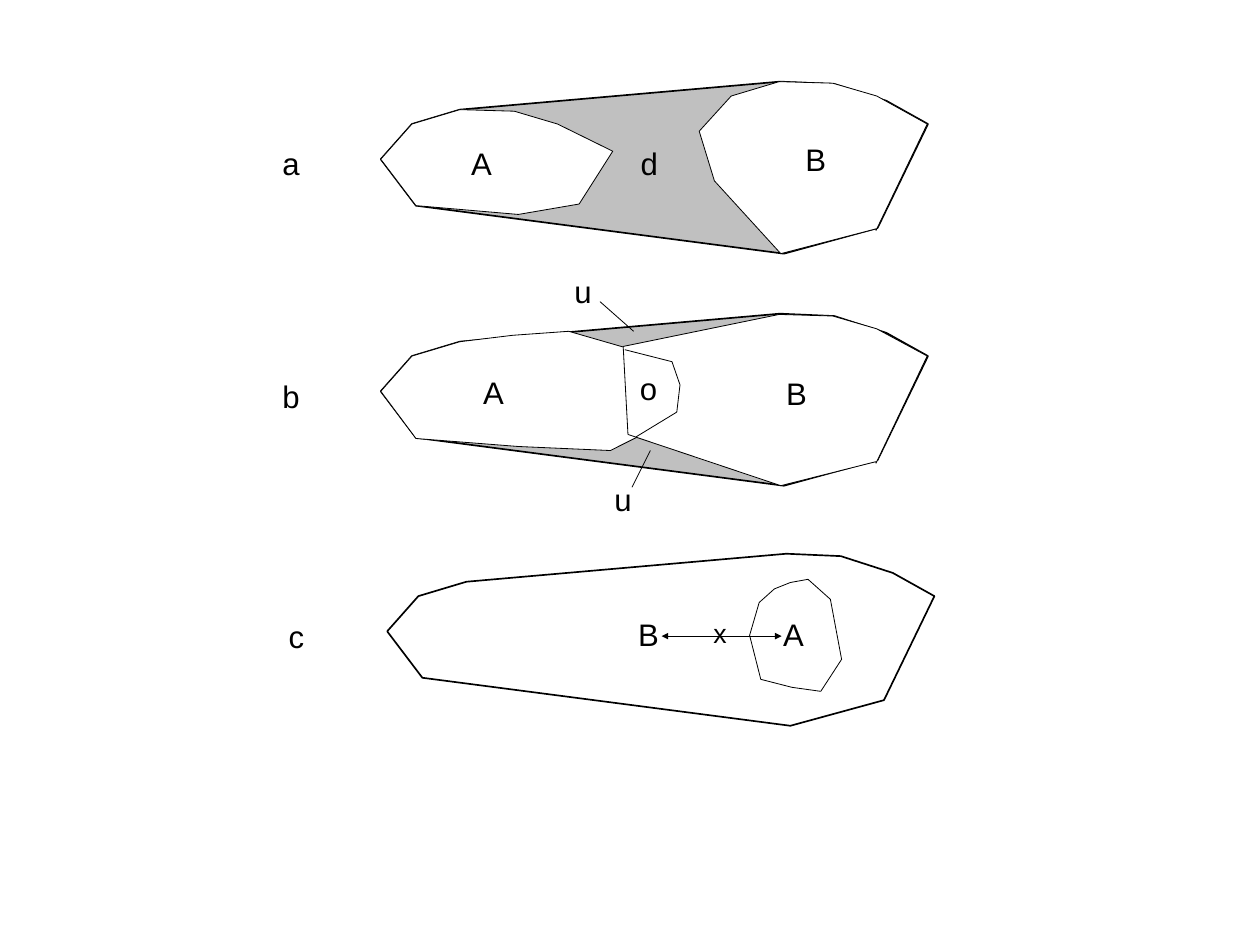
from lxml.etree import SubElement
from pptx import Presentation
from pptx.dml.color import RGBColor
from pptx.enum.shapes import MSO_CONNECTOR
from pptx.enum.text import MSO_AUTO_SIZE
from pptx.oxml.ns import qn
from pptx.util import Inches, Pt

COLORS = {"ink": "000000", "gap": "C0C0C0", "region": "FFFFFF"}
FONT = "Arial"
THIN, THICK = 0.75, 1.5

# Outlines in inches
HULL = [(5.15, 1.55), (4.76, 1.99), (5.2, 2.57), (9.8, 3.17), (10.97, 2.85),
        (11.6, 1.55), (11.08, 1.26), (10.43, 1.05), (9.75, 1.02), (5.75, 1.37)]
DISJOINT_A = [(5.15, 1.55), (4.76, 1.99), (5.2, 2.57), (6.48, 2.68), (7.24, 2.55),
              (7.66, 1.89), (6.97, 1.55), (6.43, 1.39), (5.75, 1.37)]
DISJOINT_B = [(9.14, 1.2), (8.74, 1.64), (8.93, 2.26), (9.76, 3.17), (10.95, 2.86),
              (10.95, 2.88), (11.59, 1.55), (10.96, 1.2), (10.41, 1.04), (9.74, 1.02)]
OVERLAP_A = [(5.15, 4.45), (4.76, 4.89), (5.2, 5.48), (6.48, 5.58), (7.63, 5.63),
             (8.47, 5.21), (8.01, 4.4), (7.11, 4.14), (6.41, 4.19), (5.75, 4.27)]
OVERLAP_B = [(7.79, 4.33), (7.85, 5.43), (9.76, 6.07), (10.95, 5.77), (10.95, 5.79),
             (11.59, 4.45), (10.96, 4.11), (10.41, 3.95), (9.74, 3.93)]
OVERLAP_EDGE = [(7.81, 4.37), (8.4, 4.52), (8.5, 4.81), (8.46, 5.15), (7.95, 5.46)]
INNER_A = [(9.49, 7.53), (9.37, 7.94), (9.51, 8.49), (9.9, 8.59), (10.26, 8.64),
           (10.52, 8.24), (10.38, 7.49), (10.1, 7.24), (9.88, 7.28), (9.68, 7.36)]


def color(name):
    return RGBColor.from_string(COLORS[name])


def add_outline(slide, points, fill=None, width=THIN):
    """Draw a closed polygon, or an open line when no fill is given."""
    corners = [(Inches(x), Inches(y)) for x, y in points]
    builder = slide.shapes.build_freeform(*corners[0])
    builder.add_line_segments(corners[1:], close=fill is not None)
    shape = builder.convert_to_shape()
    shape.shadow.inherit = False
    if fill:
        shape.fill.solid()
        shape.fill.fore_color.rgb = color(fill)
    else:
        shape.fill.background()
    shape.line.color.rgb = color("ink")
    shape.line.width = Pt(width)


def add_hull(slide, fill, right=0, down=0):
    points = [(x + right, y + down) for x, y in HULL]
    add_outline(slide, points, fill, THICK)


def add_label(slide, text, left, top, width=0.42, height=0.57, size=28):
    box = slide.shapes.add_textbox(Inches(left), Inches(top), Inches(width), Inches(height))
    frame = box.text_frame
    frame.text = text
    frame.word_wrap = False
    frame.auto_size = MSO_AUTO_SIZE.SHAPE_TO_FIT_TEXT
    font = frame.paragraphs[0].runs[0].font
    font.name, font.size = FONT, Pt(size)
    font.color.rgb = color("ink")


def add_line(slide, start, end, arrows=False):
    ends = [Inches(value) for value in (*start, *end)]
    connector = slide.shapes.add_connector(MSO_CONNECTOR.STRAIGHT, *ends)
    connector.line.color.rgb = color("ink")
    connector.line.width = Pt(THIN)
    if arrows:
        line = connector.line._get_or_add_ln()
        for tag in ("a:headEnd", "a:tailEnd"):
            SubElement(line, qn(tag), type="triangle")
    SubElement(connector._element.spPr, qn("a:effectLst"))


def add_disjoint_case(slide):
    add_hull(slide, "gap")
    add_outline(slide, DISJOINT_A, "region")
    add_outline(slide, DISJOINT_B, "region")
    add_label(slide, "A", 5.79, 1.76, 0.46)
    add_label(slide, "B", 9.97, 1.71, 0.46)
    add_label(slide, "d", 7.91, 1.76, 0.41)
    add_label(slide, "a", 3.43, 1.76, 0.41)


def add_overlap_case(slide):
    add_hull(slide, "gap", down=2.9)
    add_outline(slide, OVERLAP_A, "region")
    add_outline(slide, OVERLAP_B, "region")
    add_label(slide, "A", 5.94, 4.62, 0.46)
    add_label(slide, "B", 9.73, 4.63, 0.46)
    add_label(slide, "o", 7.9, 4.57)
    add_label(slide, "b", 3.43, 4.67, 0.41)
    add_outline(slide, OVERLAP_EDGE)
    # Leaders to the two uncovered areas
    add_label(slide, "u", 7.58, 5.95)
    add_line(slide, (7.9, 6.09), (8.13, 5.63))
    add_label(slide, "u", 7.08, 3.35)
    add_line(slide, (7.5, 3.77), (7.92, 4.14))


def add_containment_case(slide):
    add_hull(slide, "region", right=0.08, down=5.9)
    add_label(slide, "c", 3.51, 7.67, 0.39)
    add_outline(slide, INNER_A, "region")
    add_label(slide, "A", 9.69, 7.64, 0.46)
    add_label(slide, "B", 7.88, 7.64, 0.46)
    # Distance between the two centres
    add_label(slide, "x", 8.82, 7.66, 0.36, 0.5, size=24)
    add_line(slide, (8.27, 7.95), (9.77, 7.95), arrows=True)


def main():
    presentation = Presentation()
    presentation.slide_width = Inches(15.75)
    presentation.slide_height = Inches(11.81)
    slide = presentation.slides.add_slide(presentation.slide_layouts[6])
    add_disjoint_case(slide)
    add_overlap_case(slide)
    add_containment_case(slide)
    presentation.save("out.pptx")


if __name__ == "__main__":
    main()
